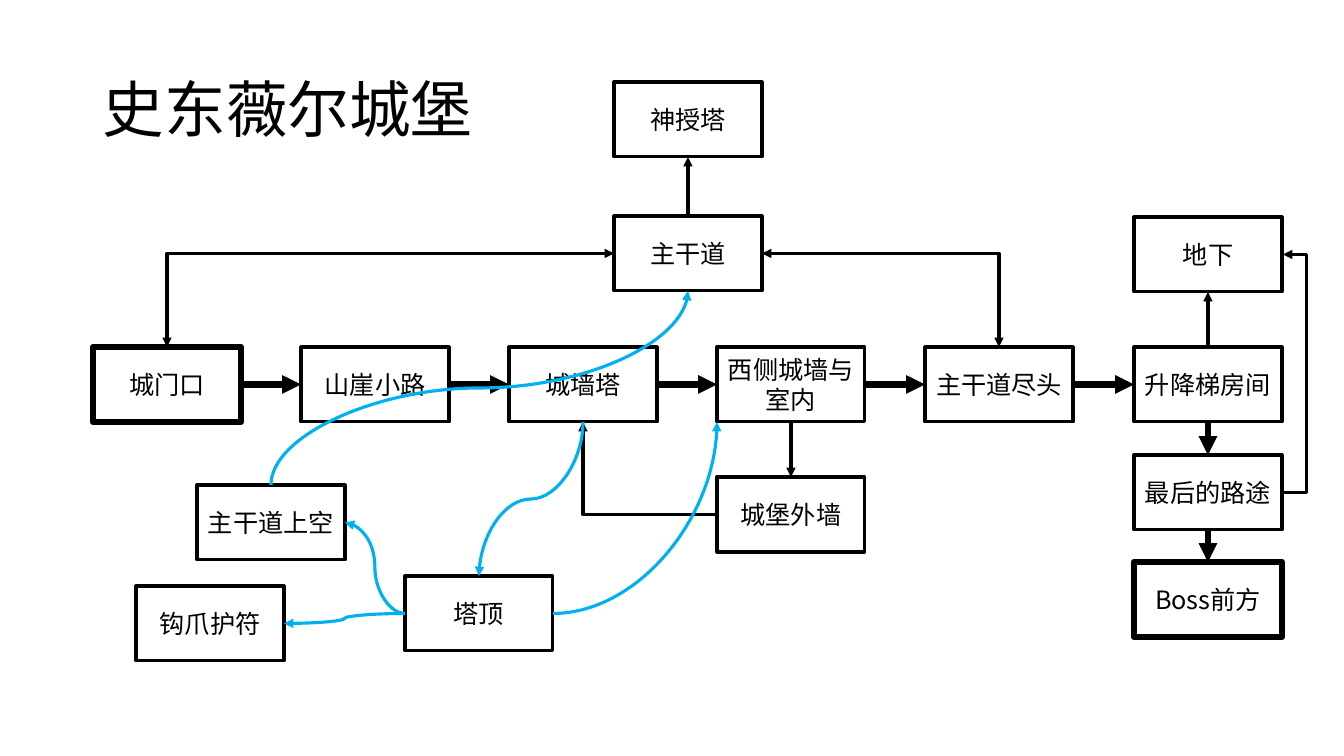
from pptx import Presentation
from pptx.dml.color import RGBColor as RGB
from pptx.enum.shapes import MSO_CONNECTOR as CONN, MSO_SHAPE as SHAPE
from pptx.enum.text import MSO_ANCHOR as ANCHOR, PP_ALIGN as ALIGN
from pptx.oxml.ns import qn
from pptx.util import Pt
from lxml.etree import SubElement
from dataclasses import dataclass


@dataclass
class Theme:
    """Colours, type and line weights of the slide."""
    font: str = "Noto Sans CJK SC"
    ink: RGB = RGB(0, 0, 0)
    jump: RGB = RGB(0x00, 0xB0, 0xF0)
    title: Pt = Pt(44)
    label: Pt = Pt(18)
    thin: Pt = Pt(2.25)
    thick: Pt = Pt(4.5)


T = Theme()
PX = 914400 / 100.8
W, H = round(148 * PX), round(75 * PX)
TOP, LEFT, BOTTOM, RIGHT = range(4)
SITES = {TOP: (W // 2, 0), LEFT: (0, H // 2), BOTTOM: (W // 2, H), RIGHT: (W, H // 2)}


def style_text(tf, size, align):
    """Format the text of a frame and centre it vertically."""
    tf.word_wrap = True
    tf.vertical_anchor = ANCHOR.MIDDLE
    p = tf.paragraphs[0]
    p.alignment = align
    for r in p.runs:
        r.font.name, r.font.size, r.font.color.rgb = T.font, size, T.ink
        SubElement(r.font._element, qn("a:ea")).set("typeface", T.font)


def link(kind, start, end, color=T.ink, weight=T.thin, both=False, corner=None, bulge=0):
    """Join two rooms, given as (name, site); corner ends at a room's bottom left."""
    (a, site_a), (b, site_b) = start, end
    x1, y1 = rooms[a].left + SITES[site_a][0], rooms[a].top + SITES[site_a][1]
    x2, y2 = rooms[b].left + SITES[site_b][0], rooms[b].top + SITES[site_b][1]
    if corner:
        x2 = rooms[b].left
    c = s.shapes.add_connector(kind, x1, y1, x2, y2)
    c.begin_connect(rooms[a], site_a)
    if not corner:
        c.end_connect(rooms[b], site_b)

    spPr = c._element.spPr
    if kind != CONN.STRAIGHT:
        # A route that leaves vertically is a horizontal one turned by 90 degrees.
        upright = site_a in (TOP, BOTTOM)
        dx, dy = x2 - x1, y2 - y1
        w, h = max(abs(dx), round(PX)), abs(dy)
        cx, cy = min(x1, x2) + w // 2, min(y1, y2) + h // 2
        if upright:
            w, h = h, w
        c.left, c.top, c.width, c.height = cx - w // 2, cy - h // 2, w, h
        xfrm = spPr.find(qn("a:xfrm"))
        xfrm.set("rot", "5400000" if upright else "0")
        xfrm.set("flipH", str(int(dy < 0 if upright else dx < 0)))
        xfrm.set("flipV", str(int(dx > 0 if upright else dy < 0)))
        geom = spPr.find(qn("a:prstGeom"))
        bends = 3 if site_a % 2 == site_b % 2 else 2
        geom.set("prst", f"{'bent' if kind == CONN.ELBOW else 'curved'}Connector{bends}")
        if bulge:
            gd = SubElement(geom.find(qn("a:avLst")), qn("a:gd"))
            gd.set("name", "adj1")
            gd.set("fmla", f"val {round(bulge * PX / w * 100000)}")

    c.line.color.rgb, c.line.width = color, weight
    ln = spPr.find(qn("a:ln"))
    for tag in ("a:headEnd", "a:tailEnd") if both else ("a:tailEnd",):
        SubElement(ln, qn(tag)).set("type", "triangle")
    SubElement(spPr, qn("a:effectLst"))


prs = Presentation()
prs.slide_width, prs.slide_height = round(1344 * PX), round(756 * PX)
s = prs.slides.add_slide(prs.slide_layouts[6])

title = s.shapes.add_textbox(*(round(v * PX) for v in (93, 40, 1159, 146)))
title.text_frame.text = "史东薇尔城堡"
style_text(title.text_frame, T.title, ALIGN.LEFT)
title.text_frame.paragraphs[0].line_spacing = 0.9

# Rooms: the main route is an even row, the others are placed around it
route = ["城门口", "山崖小路", "城墙塔", "西侧城墙与室内", "主干道尽头", "升降梯房间"]
places = [(name, 93 + 1041 * i // 5, 347) for i, name in enumerate(route)]
places += [
    ("Boss前方", 1134, 562),
    ("主干道", 614, 216),
    ("神授塔", 614, 82),
    ("地下", 1134, 217),
    ("城堡外墙", 717, 477),
    ("塔顶", 405, 576),
    ("主干道上空", 197, 485),
    ("钩爪护符", 136, 586),
    ("最后的路途", 1134, 455),
]
rooms = {}
for name, x, y in places:
    sp = s.shapes.add_shape(SHAPE.RECTANGLE, round(x * PX), round(y * PX), W, H)
    sp.shadow.inherit = False
    sp.fill.background()
    sp.line.color.rgb = T.ink
    sp.line.width = T.thick if name in ("城门口", "Boss前方") else T.thin
    sp.text_frame.text = name
    style_text(sp.text_frame, T.label, ALIGN.CENTER)
    rooms[name] = sp

# Main route: along the row, then down to the boss
for a, b in zip(route, route[1:]):
    link(CONN.STRAIGHT, (a, RIGHT), (b, LEFT), weight=T.thick)
descent = ["升降梯房间", "最后的路途", "Boss前方"]
for a, b in zip(descent, descent[1:]):
    link(CONN.STRAIGHT, (a, BOTTOM), (b, TOP), weight=T.thick)

# Side paths
link(CONN.STRAIGHT, ("主干道", TOP), ("神授塔", BOTTOM))
link(CONN.STRAIGHT, ("升降梯房间", TOP), ("地下", BOTTOM))
link(CONN.STRAIGHT, ("西侧城墙与室内", BOTTOM), ("城堡外墙", TOP))
link(CONN.ELBOW, ("城门口", TOP), ("主干道", LEFT), both=True)
link(CONN.ELBOW, ("主干道", RIGHT), ("主干道尽头", TOP), both=True)
link(CONN.ELBOW, ("城堡外墙", LEFT), ("城墙塔", BOTTOM))
link(CONN.ELBOW, ("最后的路途", RIGHT), ("地下", RIGHT), bulge=25)

# Jumps over the roofs
link(CONN.CURVE, ("城墙塔", BOTTOM), ("塔顶", TOP), T.jump)
link(CONN.CURVE, ("塔顶", RIGHT), ("西侧城墙与室内", BOTTOM), T.jump, corner=True)
link(CONN.CURVE, ("塔顶", LEFT), ("钩爪护符", RIGHT), T.jump)
link(CONN.CURVE, ("塔顶", LEFT), ("主干道上空", RIGHT), T.jump)
link(CONN.CURVE, ("主干道上空", TOP), ("主干道", BOTTOM), T.jump)

prs.save("out.pptx")
